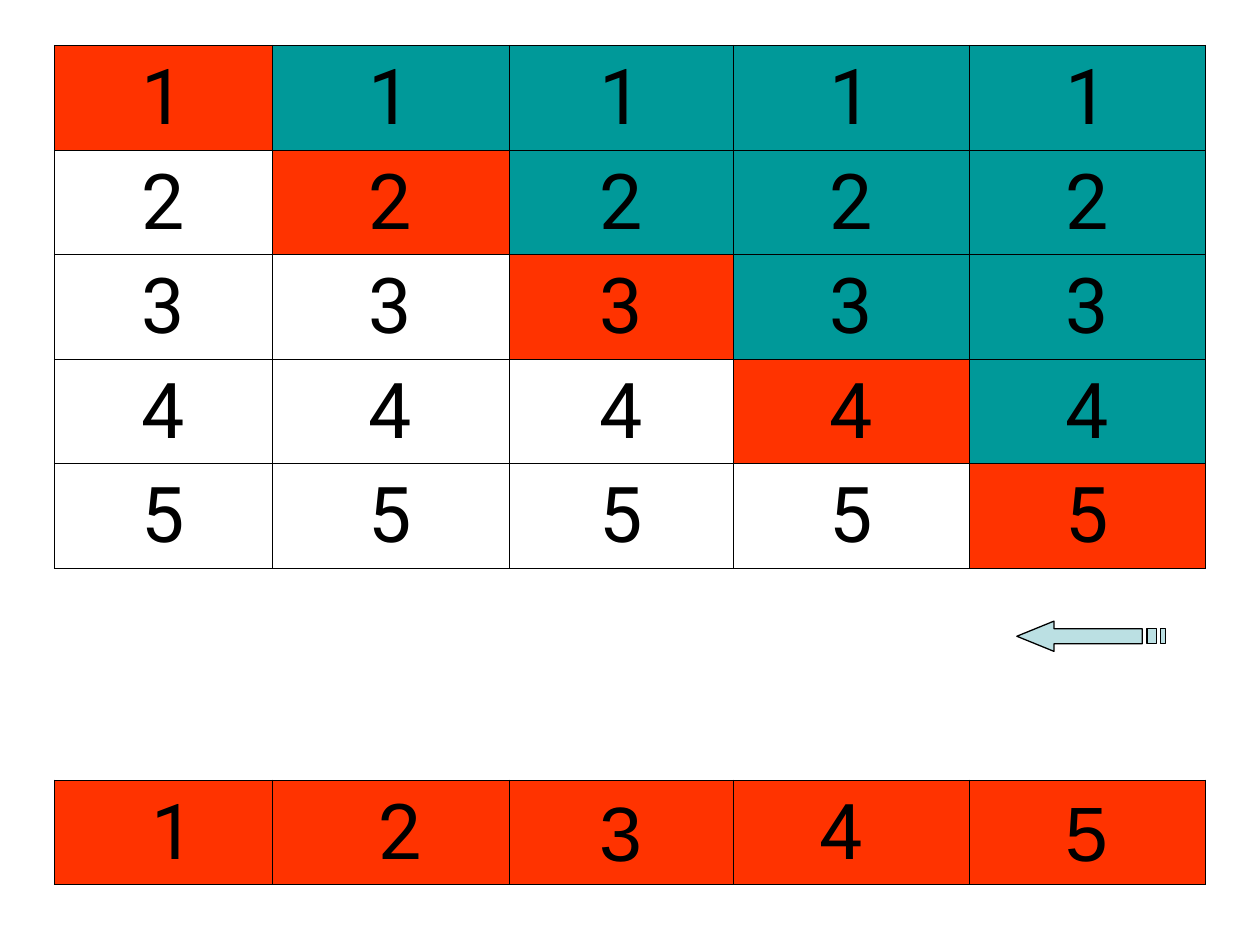
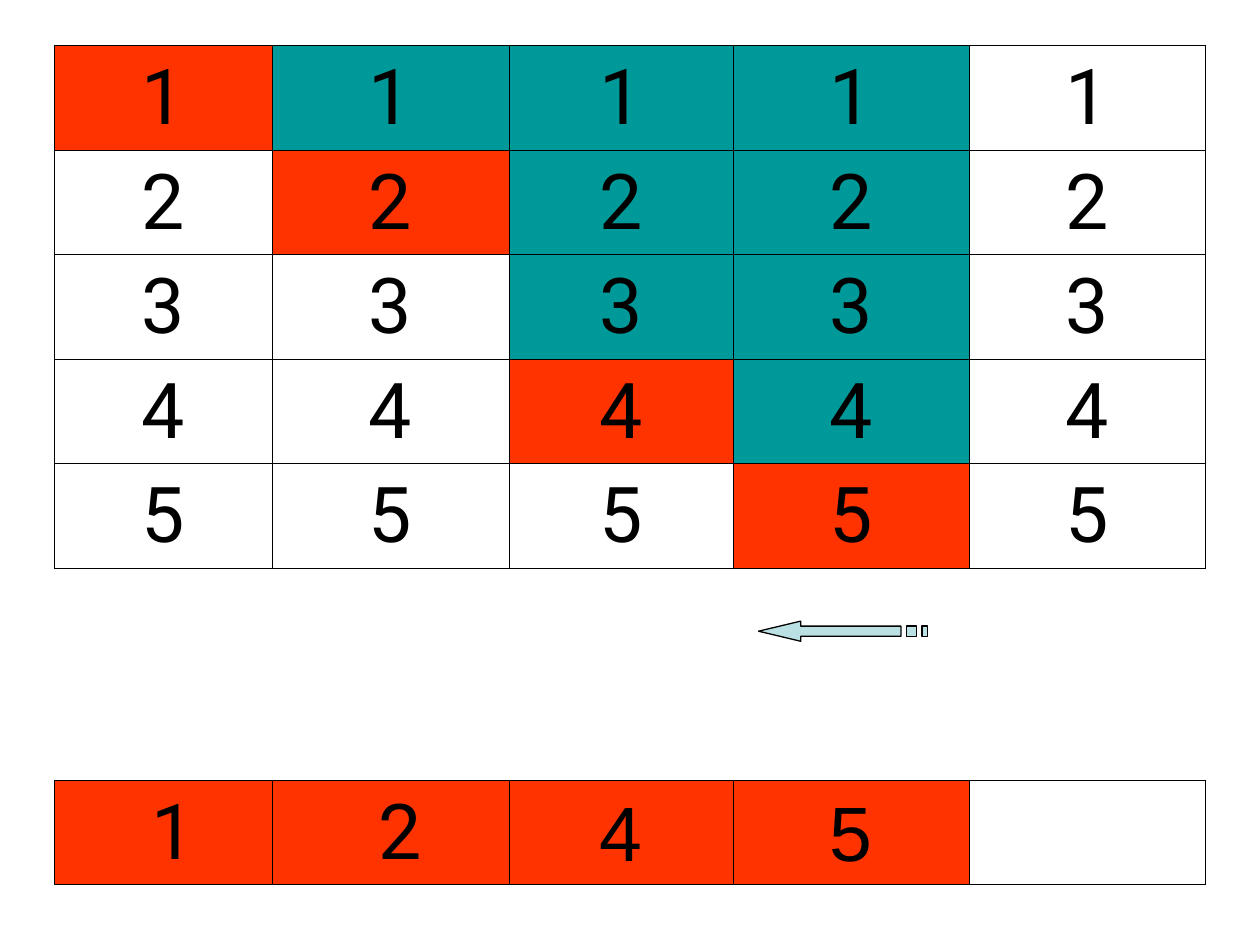
import pptx
import pptx.dml.color
import pptx.enum.text
import pptx.oxml
import pptx.oxml.ns
import pptx.util
from pptx.util import Inches

RED, TEAL, WHITE, BLACK, PALE = "FF3300", "009999", "FFFFFF", "000000", "BBE0E3"
ROBOTO, ARIAL = "Roboto", "Arial"
NO_STYLE = "{2D5ABB26-0587-4C30-8999-92F81FD0307C}"

TABLE_BOX = (0.43, 0.36, 9.14, 6.67)
COLUMN_WIDTHS = (1.73, 1.88, 1.78, 1.87, 1.88)
ROW_HEIGHTS = (0.83,) * 5 + (1.68, 0.83)
GRID_ROWS = 5
GAP_ROW, RESULT_ROW = 5, 6

# Striped arrow outlines on a grid of 32 by 4 units
ARROW_UNITS = (32, 4)
ARROW_HEAD = [(27, 3), (8, 3), (8, 4), (0, 2), (8, 0), (8, 1), (27, 1)]
ARROW_STRIPES = [(28, 30), (31, 32)]

# Per slide: chosen number in each column, result cells (text, font), arrow box
STEPS = [
    {
        "chosen": (1, 2, 3, 4, 5),
        "result": [(" 1", ROBOTO), (" 2", ROBOTO), ("3", ARIAL), ("4 ", ROBOTO), ("5", ARIAL)],
        "arrow": (8.07, 4.93, 1.18, 0.24),
    },
    {
        "chosen": (1, 2, 4, 5, 0),
        "result": [(" 1", ROBOTO), (" 2", ROBOTO), ("4", ARIAL), ("5", ARIAL), ("", ARIAL)],
        "arrow": (6.02, 4.93, 1.34, 0.16),
    },
]


def color(value):
    return pptx.dml.color.RGBColor.from_string(value)


def set_fill(target, value):
    target.fill.solid()
    target.fill.fore_color.rgb = color(value)


def add_borders(cell, sides):
    properties = cell._tc.get_or_add_tcPr()
    for side in sides:
        properties.append(pptx.oxml.parse_xml(
            f'<a:ln{side} {pptx.oxml.ns.nsdecls("a")} w="{pptx.util.Pt(0.45)}">'
            f'<a:solidFill><a:srgbClr val="{BLACK}"/></a:solidFill></a:ln{side}>'))


def fill_cell(cell, text, font, background):
    add_borders(cell, "LRTB")
    set_fill(cell, background)
    cell.vertical_anchor = pptx.enum.text.MSO_ANCHOR.BOTTOM
    if not text:
        return
    para = cell.text_frame.paragraphs[0]
    para.alignment = pptx.enum.text.PP_ALIGN.CENTER
    span = para.add_run()
    span.text = text
    span.font.name = font
    span.font.size = pptx.util.Pt(44)
    span.font.color.rgb = color(BLACK)


def add_number_table(page, box, chosen, result):
    frame = page.shapes.add_table(
        len(ROW_HEIGHTS), len(COLUMN_WIDTHS), *map(Inches, box))
    table = frame.table
    table.first_row = table.horz_banding = False
    table._tbl.tblPr.find(pptx.oxml.ns.qn("a:tableStyleId")).text = NO_STYLE
    for column, width in zip(table.columns, COLUMN_WIDTHS):
        column.width = Inches(width)
    for row, height in zip(table.rows, ROW_HEIGHTS):
        row.height = Inches(height)

    for column, (pick, (text, font)) in enumerate(zip(chosen, result)):
        # Numbers: teal above the chosen one, red on it, white below
        for number in range(1, GRID_ROWS + 1):
            background = RED if number == pick else TEAL if number < pick else WHITE
            fill_cell(table.cell(number - 1, column), str(number), ROBOTO, background)
        # Open gap, then the result row
        add_borders(table.cell(GAP_ROW, column), "TB")
        fill_cell(table.cell(RESULT_ROW, column), text, font, RED if text else WHITE)


def add_striped_arrow(page, box):
    left, top, width, height = map(Inches, box)
    scale = (width / ARROW_UNITS[0], height / ARROW_UNITS[1])
    builder = page.shapes.build_freeform(*ARROW_HEAD[0], scale=scale)
    builder.add_line_segments(ARROW_HEAD[1:], close=True)
    for start, end in ARROW_STRIPES:
        builder.move_to(end, 3)
        builder.add_line_segments([(start, 3), (start, 1), (end, 1)], close=True)
    arrow = builder.convert_to_shape(left, top)
    arrow.shadow.inherit = False
    set_fill(arrow, PALE)
    arrow.line.color.rgb = color(BLACK)
    arrow.line.width = pptx.util.Pt(0.75)


def add_step_slide(deck, step):
    page = deck.slides.add_slide(deck.slide_layouts[6])
    set_fill(page.background, WHITE)
    add_number_table(page, TABLE_BOX, step["chosen"], step["result"])
    add_striped_arrow(page, step["arrow"])


def main():
    deck = pptx.Presentation()
    deck.slide_width, deck.slide_height = Inches(10), Inches(7.5)
    for step in STEPS:
        add_step_slide(deck, step)
    deck.save("out.pptx")


if __name__ == "__main__":
    main()
